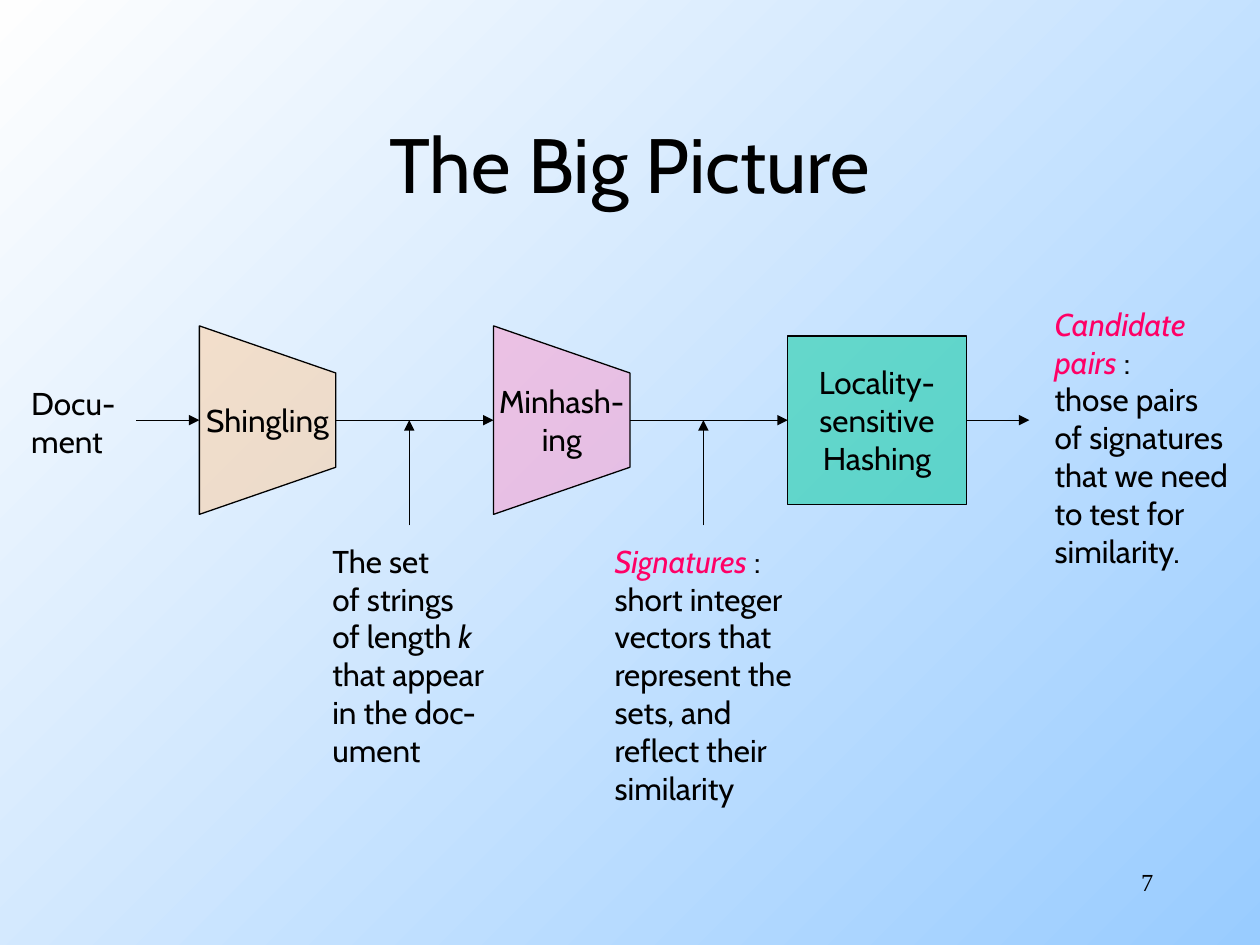
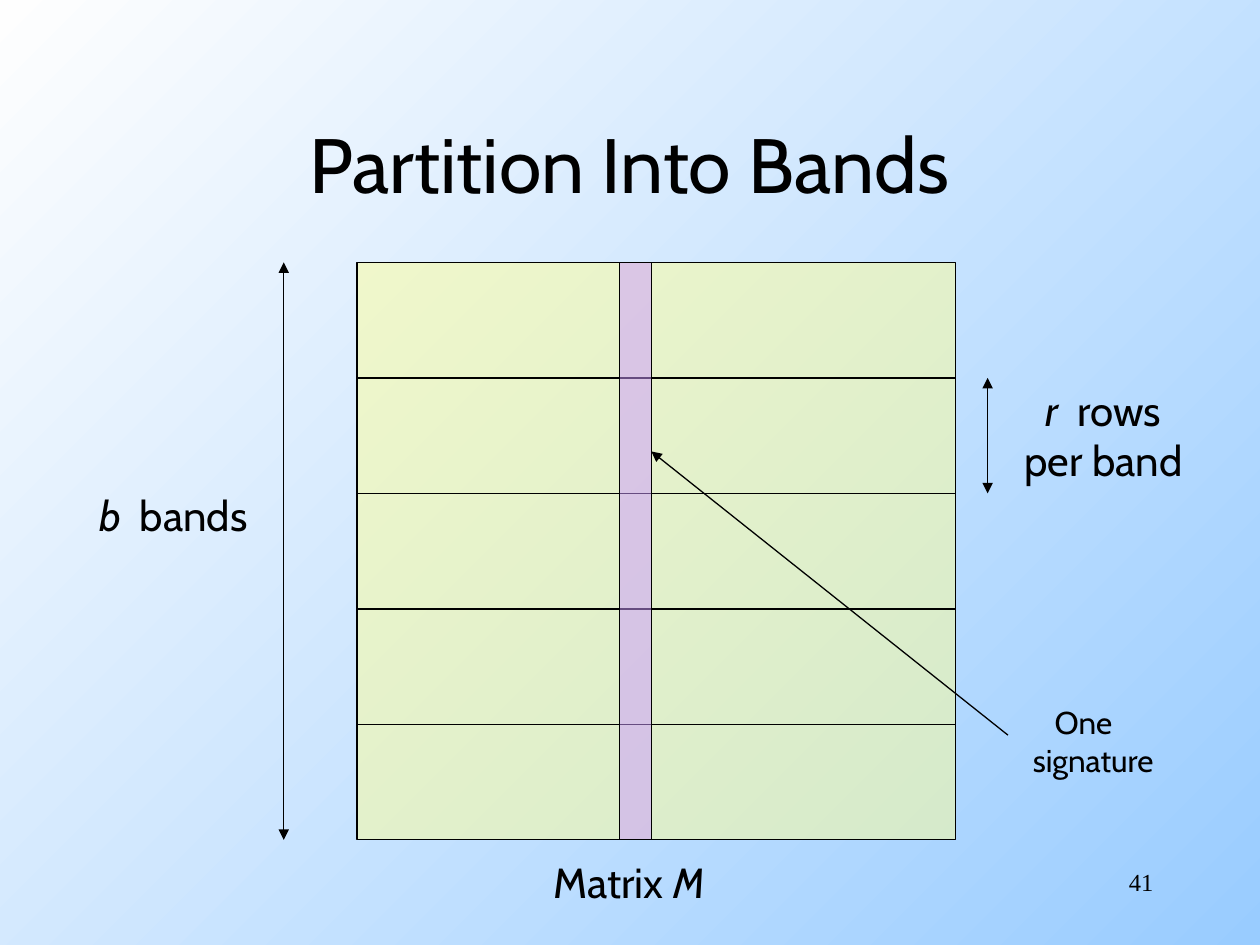
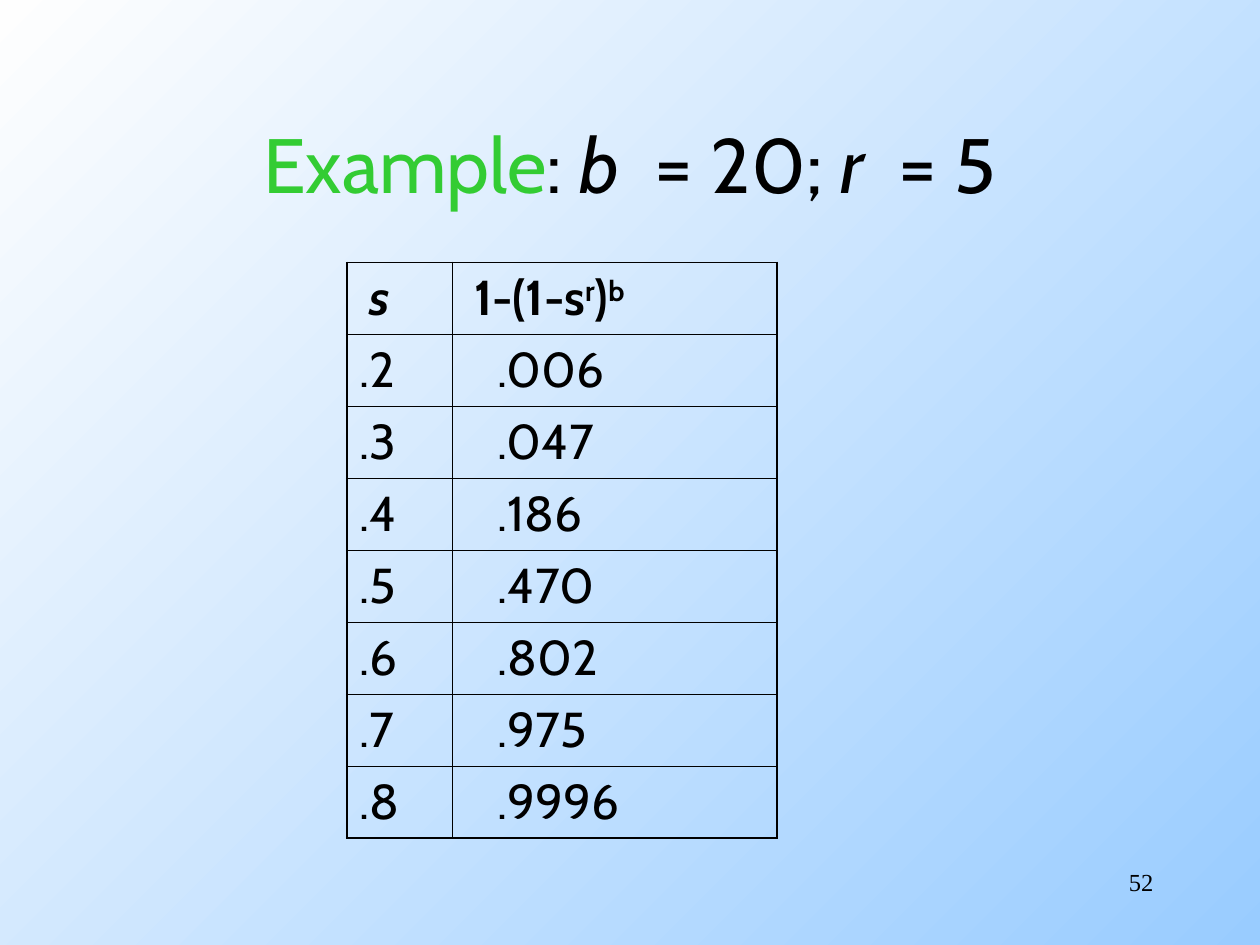
import lxml.etree
import pptx
import pptx.dml.color
import pptx.enum.shapes
import pptx.enum.text
import pptx.oxml.ns
import pptx.util

Cm = pptx.util.Cm
Pt = pptx.util.Pt
RGBColor = pptx.dml.color.RGBColor
qn = pptx.oxml.ns.qn
Align = pptx.enum.text.PP_ALIGN
Anchor = pptx.enum.text.MSO_ANCHOR

BLACK = RGBColor(0x00, 0x00, 0x00)
PINK = RGBColor(0xFF, 0x00, 0x66)
GREEN = RGBColor(0x33, 0xCC, 0x33)
PEACH = RGBColor(0xFF, 0xCC, 0x99)
ROSE = RGBColor(0xFF, 0x99, 0xCC)
TEAL = RGBColor(0x00, 0xCC, 0x99)
YELLOW = RGBColor(0xFF, 0xFF, 0x99)
VIOLET = RGBColor(0xCC, 0x99, 0xFF)
SKY = RGBColor(0x99, 0xCC, 0xFF)
NEAR_WHITE = RGBColor(0xFE, 0xFE, 0xFE)

BODY_FONT = "Cabin"
NUMBER_FONT = "Times New Roman"
ITALIC = {"italic": True}
TERM = {"italic": True, "color": PINK}
SUPERSCRIPT = {"baseline": 30}


def add_run(paragraph, text, size=18, color=BLACK, font=BODY_FONT,
            bold=False, italic=False, baseline=0):
    run = paragraph.add_run()
    run.text = text
    run.font.name = font
    run.font.size = Pt(size)
    run.font.color.rgb = color
    run.font.bold = bold
    run.font.italic = italic
    if baseline:
        run._r.get_or_add_rPr().set("baseline", str(baseline * 1000))


def write_lines(frame, lines, align=Align.LEFT, indent=0, space_before=0, **style):
    """Write one paragraph per line; a line is a string or a list of (text, format) runs."""
    for index, line in enumerate(lines):
        paragraph = frame.add_paragraph() if index else frame.paragraphs[0]
        paragraph.alignment = align
        paragraph.space_before = Pt(space_before)
        if indent:
            paragraph._p.get_or_add_pPr().set("marL", str(Cm(indent)))
        runs = [(line, {})] if isinstance(line, str) else line
        for text, run_format in runs:
            add_run(paragraph, text, **{**style, **run_format})


def set_borders(cell, widths):
    properties = cell._tc.get_or_add_tcPr()
    for side, width in zip("LRTB", widths):
        line = lxml.etree.SubElement(properties, qn(f"a:ln{side}"), w=str(Pt(width)))
        fill = lxml.etree.SubElement(line, qn("a:solidFill"))
        lxml.etree.SubElement(fill, qn("a:srgbClr"), val=str(BLACK))


class Deck:
    """Holds the shared style and the slide being drawn; all lengths are in centimetres."""

    line_width = 0.75
    inner_border = 0.45
    outer_border = 1.08

    def __init__(self):
        self.presentation = pptx.Presentation()
        self.presentation.slide_width = Cm(25.4)
        self.presentation.slide_height = Cm(19.05)
        self.slide = None
        fill = self.presentation.slide_master.background.fill
        fill.gradient()
        fill.gradient_angle = 135
        for stop, color in zip(fill.gradient_stops, (SKY, NEAR_WHITE)):
            stop.color.rgb = color

    def new_slide(self, title, number):
        self.slide = self.presentation.slides.add_slide(self.presentation.slide_layouts[6])
        self.text(1.9, 1.69, 21.59, 3.18, [title], wrap=True, anchor=Anchor.MIDDLE,
                  align=Align.CENTER, size=44)
        self.text(18.2, 17.36, 5.3, 1.27, [str(number)], wrap=True,
                  align=Align.RIGHT, size=14, font=NUMBER_FONT)

    def text(self, left, top, width, height, lines, wrap=False, anchor=Anchor.TOP, **style):
        frame = self.slide.shapes.add_textbox(Cm(left), Cm(top), Cm(width), Cm(height)).text_frame
        frame.word_wrap = wrap
        frame.vertical_anchor = anchor
        if not wrap:
            frame.auto_size = pptx.enum.text.MSO_AUTO_SIZE.SHAPE_TO_FIT_TEXT
        write_lines(frame, lines, **style)

    def finish_shape(self, shape, color, lines):
        """Give a shape its half-transparent fill, thin outline and centred text."""
        shape.shadow.inherit = False
        shape.fill.solid()
        shape.fill.fore_color.rgb = color
        fill_color = shape._element.spPr.find(qn("a:solidFill"))[0]
        lxml.etree.SubElement(fill_color, qn("a:alpha"), val="50000")
        shape.line.color.rgb = BLACK
        shape.line.width = Pt(self.line_width)
        shape.text_frame.word_wrap = False
        shape.text_frame.vertical_anchor = Anchor.MIDDLE
        write_lines(shape.text_frame, lines, align=Align.CENTER)

    def rectangle(self, left, top, width, height, color, lines=()):
        shape = self.slide.shapes.add_shape(
            pptx.enum.shapes.MSO_SHAPE.RECTANGLE, Cm(left), Cm(top), Cm(width), Cm(height))
        self.finish_shape(shape, color, lines)

    def funnel(self, left, axis, width, color, lines):
        """Draw a trapezoid that narrows to the right around a horizontal axis."""
        tall, short = 1.9, 0.95
        right = left + width
        builder = self.slide.shapes.build_freeform(Cm(left), Cm(axis + tall))
        corners = [(left, axis - tall), (right, axis - short), (right, axis + short)]
        builder.add_line_segments([(Cm(x), Cm(y)) for x, y in corners], close=True)
        self.finish_shape(builder.convert_to_shape(), color, lines)

    def line(self, start, end, arrows=()):
        """Draw a line; arrows names its arrowheads, "head" at start and "tail" at end."""
        connector = self.slide.shapes.add_connector(
            pptx.enum.shapes.MSO_CONNECTOR.STRAIGHT, *map(Cm, start), *map(Cm, end))
        connector.line.color.rgb = BLACK
        connector.line.width = Pt(self.line_width)
        for arrow in arrows:
            lxml.etree.SubElement(connector.line._get_or_add_ln(), qn(f"a:{arrow}End"),
                                  type="triangle")
        lxml.etree.SubElement(connector._element.spPr, qn("a:effectLst"))

    def table(self, left, top, column_widths, row_height, rows, indents):
        """Draw a table with a bold first row; indents holds each row's column indents."""
        row_count, column_count = len(rows), len(column_widths)
        table = self.slide.shapes.add_table(
            row_count, column_count, Cm(left), Cm(top),
            Cm(sum(column_widths)), Cm(row_height * row_count)).table
        table.first_row = table.horz_banding = False
        for column, width in zip(table.columns, column_widths):
            column.width = Cm(width)
        for r, row in enumerate(rows):
            table.rows[r].height = Cm(row_height)
            for c, content in enumerate(row):
                cell = table.cell(r, c)
                on_edge = (c == 0, c == column_count - 1, r == 0, r == row_count - 1)
                set_borders(cell, [self.outer_border if edge else self.inner_border
                                   for edge in on_edge])
                cell.fill.background()
                write_lines(cell.text_frame, [content], size=28, bold=r == 0,
                            space_before=7, indent=indents[r][c])


def draw_big_picture(deck):
    deck.new_slide("The Big Picture", 7)
    axis, first_stage, pitch, funnel_width = 8.47, 4.02, 5.93, 2.75
    hashing_left, hashing_width, hashing_height = first_stage + 2 * pitch, 3.6, 3.39
    hashing_right = hashing_left + hashing_width
    arrow_length = 1.27

    deck.text(0.38, 7.62, 2.26, 1.78, ["Docu-", "ment"])
    deck.line((first_stage - arrow_length, axis), (first_stage, axis), ["tail"])
    funnels = [(PEACH, ["Shingling"]), (ROSE, ["Minhash-", "ing"])]
    for index, (color, label) in enumerate(funnels):
        left = first_stage + index * pitch
        right = left + funnel_width
        note_x = right + 1.48
        deck.funnel(left, axis, funnel_width, color, label)
        deck.line((right, axis), (left + pitch, axis), ["tail"])
        deck.line((note_x, axis + 2.12), (note_x, axis), ["tail"])
    deck.rectangle(hashing_left, axis - hashing_height / 2, hashing_width, hashing_height,
                   TEAL, ["Locality-", "sensitive", "Hashing"])
    deck.line((hashing_right, axis), (hashing_right + arrow_length, axis), ["tail"])

    deck.text(6.45, 10.8, 3.99, 4.83, [
        "The set", "of strings", [("of length ", {}), ("k", ITALIC)],
        "that appear", "in the doc-", "ument"])
    deck.text(12.14, 10.8, 4.57, 5.59, [
        [("Signatures ", TERM), (":", {})], "short integer", "vectors that",
        "represent the", "sets, and", "reflect their", "similarity"])
    deck.text(21.01, 6.02, 4.42, 5.59, [
        [("Candidate", TERM)], [("pairs ", TERM), (":", {})], "those pairs",
        "of signatures", "that we need", "to test for", "similarity."])


def draw_bands(deck):
    deck.new_slide("Partition Into Bands", 41)
    left, top, width, height, band_count = 7.2, 5.29, 12.07, 11.64, 5
    right, bottom = left + width, top + height
    band_tops = [top + band * height / band_count for band in range(band_count)]
    signature_left, signature_width = 12.49, 0.64

    deck.rectangle(left, top, width, height, YELLOW)
    for y in band_tops[1:]:
        deck.line((left, y), (right, y))
    deck.rectangle(signature_left, top, signature_width, height, VIOLET)
    deck.line((20.32, 14.82), (signature_left + signature_width, 9.1), ["tail"])
    deck.line((19.91, band_tops[1]), (19.91, band_tops[2]), ["head", "tail"])
    deck.line((5.72, top), (5.72, bottom), ["head", "tail"])

    label_style = {"align": Align.CENTER, "size": 24}
    deck.text(10.69, 17.15, 3.99, 1.27, [[("Matrix ", {}), ("M", ITALIC)]], **label_style)
    deck.text(20.19, 7.62, 4.11, 2.29, [[("r ", ITALIC), (" rows", {})], "per band"],
              **label_style)
    deck.text(1.55, 9.75, 3.89, 1.27, [[("b", ITALIC), ("  bands", {})]], **label_style)
    deck.text(21.01, 14.05, 2.1, 1.02, ["One"])
    deck.text(20.57, 14.81, 3.35, 1.02, ["signature"])


def draw_example(deck):
    deck.new_slide([("Example", {"color": GREEN}), (": ", {}), ("b", ITALIC),
                    ("  = 20; ", {}), ("r", ITALIC), ("  = 5", {})], 52)
    header = ([("s", ITALIC)],
              [("1-(1-s", {}), ("r", SUPERSCRIPT), (")", {}), ("b", SUPERSCRIPT)])
    values = [(".2", ".006"), (".3", ".047"), (".4", ".186"), (".5", ".470"),
              (".6", ".802"), (".7", ".975"), (".8", ".9996")]
    deck.table(6.99, 5.29, (2.12, 6.56), 1.45, [header, *values],
               [(0.2, 0.2)] + [(0, 0.67)] * len(values))


def main():
    deck = Deck()
    draw_big_picture(deck)
    draw_bands(deck)
    draw_example(deck)
    deck.presentation.save("out.pptx")


if __name__ == "__main__":
    main()
